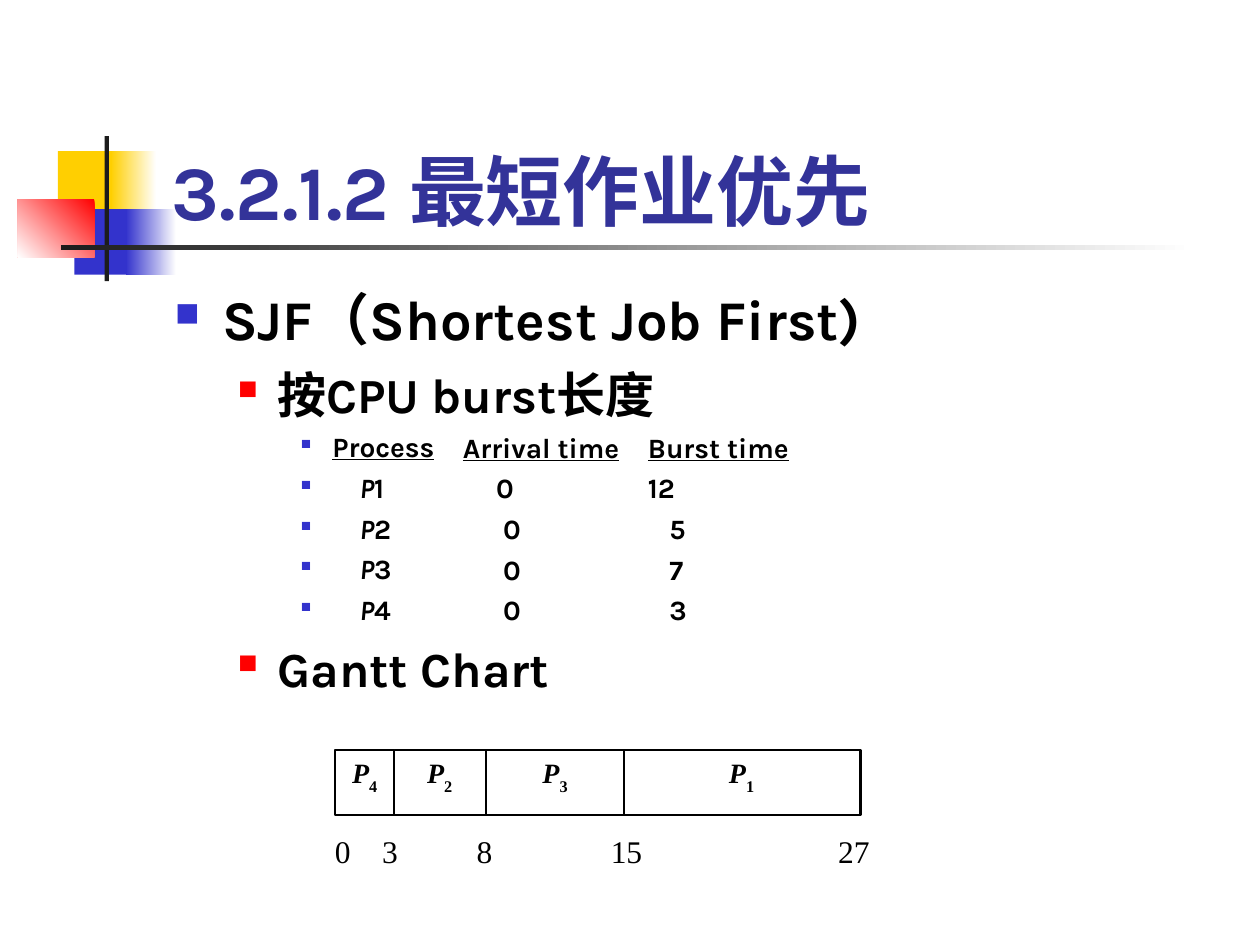
import pptx
import pptx.util
import pptx.dml.color
import pptx.enum.shapes
import pptx.enum.text
import pptx.oxml
import pptx.oxml.ns
from lxml import etree

Pt = pptx.util.Pt
RGBColor = pptx.dml.color.RGBColor
qn = pptx.oxml.ns.qn
colors = {
    "white": "FFFFFF", "black": "000000", "yellow": "FFCF01", "blue": "3333CC",
    "red": "FF0000", "ink": "1C1C1C", "title": "333399",
}

presentation = pptx.Presentation()
presentation.slide_width = Pt(720)
presentation.slide_height = Pt(540)
slide = presentation.slides.add_slide(presentation.slide_layouts[6])


def add_run(paragraph, text, size, font="Karla", color="black", bold=True, italic=False, underline=False):
    run = paragraph.add_run()
    run.text = text
    run.font.size = Pt(size)
    run.font.bold = bold
    run.font.italic = italic
    run.font.underline = underline
    run.font.color.rgb = RGBColor.from_string(colors[color])
    run.font.name = font
    etree.SubElement(run.font._element, qn("a:ea"), typeface=font)
    return run


def add_text_frame(left, top, width, height, inset=True):
    text_frame = slide.shapes.add_textbox(Pt(left), Pt(top), Pt(width), Pt(height)).text_frame
    text_frame.word_wrap = True
    if not inset:
        text_frame.margin_left = text_frame.margin_right = Pt(0)
        text_frame.margin_top = text_frame.margin_bottom = Pt(0)
    return text_frame


decorations = [
    (33.1, 86.4, 34.6, 37.4, "yellow", None, None),
    (63.4, 86.4, 25.9, 37.4, "white", "yellow", 180),
    (42.5, 119.5, 33.1, 37.4, "blue", None, None),
    (72, 119.5, 28.8, 37.4, "white", "blue", 180),
    (10.1, 113.8, 43.9, 33.1, "red", "white", 225),
    (59.8, 77.8, 2.5, 82.8, "ink", None, None),
    (34.6, 140.2, 648, 2.5, "white", "ink", 180),
]
for left, top, width, height, start, end, angle in decorations:
    shape = slide.shapes.add_shape(
        pptx.enum.shapes.MSO_SHAPE.RECTANGLE, Pt(left), Pt(top), Pt(width), Pt(height))
    shape.shadow.inherit = False
    shape.line.fill.background()
    if end is None:
        shape.fill.solid()
        shape.fill.fore_color.rgb = RGBColor.from_string(colors[start])
    else:
        shape.fill.gradient()
        shape.fill.gradient_angle = angle
        for stop, color in zip(shape.fill.gradient_stops, (start, end)):
            stop.color.rgb = RGBColor.from_string(colors[color])

title_frame = add_text_frame(90.7, 48.2, 613.4, 90)
title_frame.vertical_anchor = pptx.enum.text.MSO_ANCHOR.BOTTOM
add_run(title_frame.paragraphs[0], "3.2.1.2 最短作业优先", 44, color="title")

levels = {
    "topic": (0, 27, 27, 0, "blue", 60, 32),
    "point": (1, 58.5, 22.5, 7, "red", 55, 28),
    "header": (2, 90, 18, 4, "blue", 50, 16),
    "process": (2, 105.5, 33.5, 4, "blue", 50, 16),
}
outline = [
    ("topic", "SJF（Shortest Job First)"),
    ("point", "按CPU burst长度"),
    ("header", "Process"),
    ("process", "1"), ("process", "2"), ("process", "3"), ("process", "4"),
    ("point", "Gantt Chart"),
]
body_frame = add_text_frame(92.9, 159.1, 612, 324)
for index, (kind, text) in enumerate(outline):
    level, margin, hanging, space, color, bullet_size, size = levels[kind]
    paragraph = body_frame.add_paragraph() if index else body_frame.paragraphs[0]
    paragraph.level = level
    paragraph.space_before = Pt(space)
    properties = paragraph._p.get_or_add_pPr()
    properties.set("marL", str(Pt(margin)))
    properties.set("indent", str(-Pt(hanging)))
    bullet_color = etree.SubElement(properties, qn("a:buClr"))
    etree.SubElement(bullet_color, qn("a:srgbClr"), val=colors[color])
    etree.SubElement(properties, qn("a:buSzPct"), val=str(bullet_size * 1000))
    etree.SubElement(properties, qn("a:buChar"), char="■")
    if kind == "process":
        add_run(paragraph, "P", size, italic=True)
    add_run(paragraph, text, size, underline=kind == "header")

columns = [
    (264.5, "Arrival time", ["0", "0", "0", "0"], [19, 23, 23, 23]),
    (370.3, "Burst time", ["12", "5", "7", "3"], [0, 12.3, 12.3, 12.3]),
]
for left, heading, values, margins in columns:
    column_frame = add_text_frame(left, 246, 100, 116, inset=False)
    add_run(column_frame.paragraphs[0], heading, 16, underline=True)
    for value, margin in zip(values, margins):
        paragraph = column_frame.add_paragraph()
        paragraph.space_before = Pt(4)
        paragraph._p.get_or_add_pPr().set("marL", str(Pt(margin)))
        add_run(paragraph, value, 16)

time_labels = [("0", 191.4), ("3", 218.3), ("8", 272.3), ("15", 349), ("27", 479)]
for text, left in time_labels:
    label_frame = add_text_frame(left, 475.2, 24, 22, inset=False)
    add_run(label_frame.paragraphs[0], text, 18, font="Times New Roman", bold=False)

gantt_bars = [("1", 355.7, 136.1), ("2", 223.9, 54.7), ("3", 277.9, 78.5), ("4", 191.5, 33.8)]
for number, left, width in gantt_bars:
    bar = slide.shapes.add_shape(
        pptx.enum.shapes.MSO_SHAPE.RECTANGLE, Pt(left), Pt(428.4), Pt(width), Pt(37.4))
    bar.shadow.inherit = False
    bar.fill.solid()
    bar.fill.fore_color.rgb = RGBColor.from_string(colors["white"])
    bar.line.color.rgb = RGBColor.from_string(colors["black"])
    bar.line.width = Pt(1.25)
    bar.text_frame.word_wrap = True
    bar.text_frame.vertical_anchor = pptx.enum.text.MSO_ANCHOR.TOP
    paragraph = bar.text_frame.paragraphs[0]
    paragraph.alignment = pptx.enum.text.PP_ALIGN.CENTER
    add_run(paragraph, "P", 16, font="Times New Roman", italic=True)
    subscript = add_run(paragraph, number, 16, font="Times New Roman")
    subscript.font._element.set("baseline", "-30000")

presentation.save("out.pptx")
